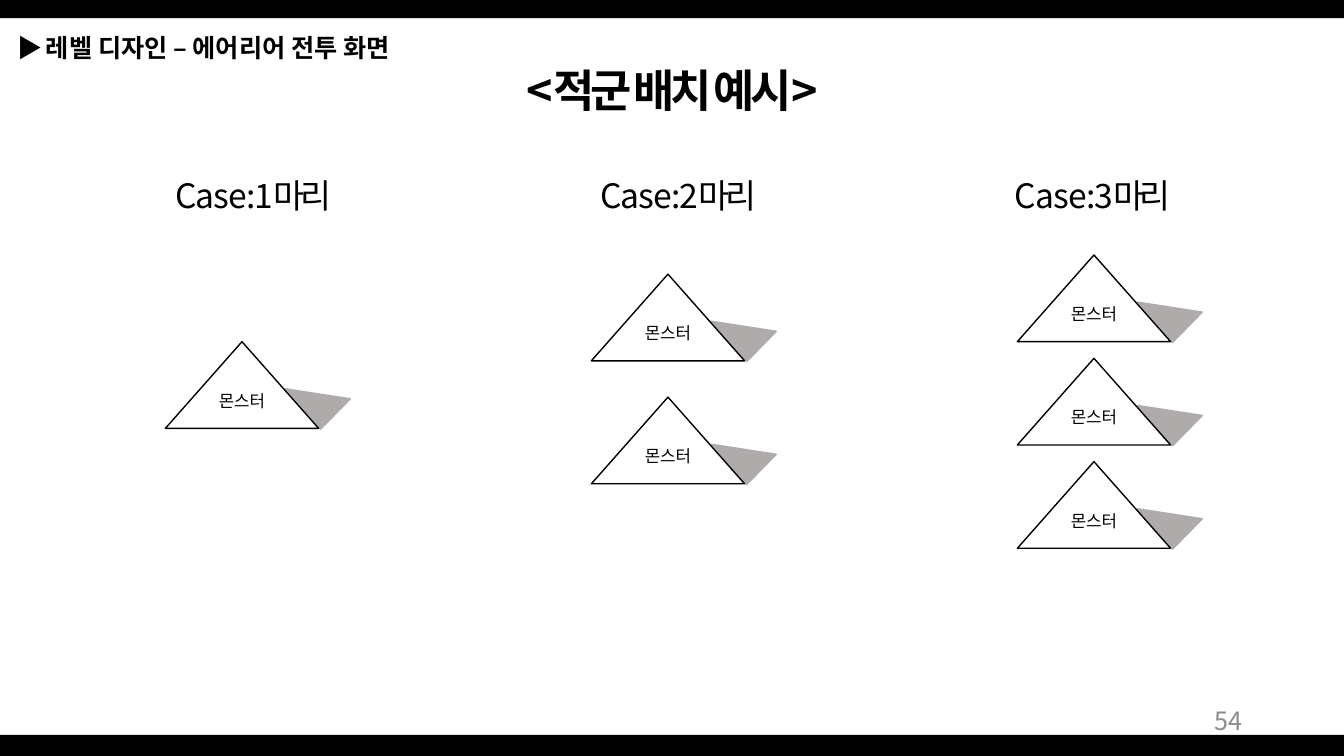
from dataclasses import dataclass
from lxml.etree import SubElement
from pptx import Presentation
from pptx.dml.color import RGBColor
from pptx.enum.shapes import MSO_SHAPE as Preset
from pptx.enum.text import MSO_ANCHOR as Anchor, PP_ALIGN as Align
from pptx.oxml.ns import qn
from pptx.util import Inches, Pt


@dataclass(frozen=True)
class Theme:
    font: str = "Noto Sans CJK KR"
    black: str = "000000"
    white: str = "FFFFFF"
    shadow: str = "AFABAB"
    muted: str = "8C8C8C"
    title: int = 32
    case: int = 24
    heading: int = 18
    monster: int = 12


@dataclass(frozen=True)
class Box:
    left: float
    top: float
    width: float
    height: float

    def inside(self, left, top, width, height):
        return Box(self.left + left, self.top + top, width, height)

    def lengths(self):
        return [Inches(value) for value in (self.left, self.top, self.width, self.height)]


@dataclass(frozen=True)
class Case:
    label: str
    label_left: float
    first_top: float
    pitch: float
    count: int


THEME = Theme()
PAGE = Box(0, 0, 13.33, 7.5)
COLUMN_LEFT, COLUMN_PITCH = 1.64, 4.225
MONSTER_WIDTH, MONSTER_HEIGHT = 1.52, 0.86
CASES = (
    Case("C a s e : 1마리", -0.11, 3.39, 0, 1),
    Case("C a s e : 2마리", -0.12, 2.72, 1.22, 2),
    Case("C a s e : 3마리", -0.23, 2.53, 1.025, 3),
)


def format_run(run, size, color=THEME.black, bold=False, spacing=0):
    run.font.name = THEME.font
    run.font.size = Pt(size)
    run.font.bold = bold
    run.font.color.rgb = RGBColor.from_string(color)
    properties = run._r.get_or_add_rPr()
    properties.set("spc", str(spacing * 100))
    east_asian = SubElement(properties, qn("a:ea"))
    east_asian.set("typeface", THEME.font)


def write_text(shape, text, size, align=Align.CENTER, anchor=Anchor.TOP, **style):
    frame = shape.text_frame
    frame.text = text
    frame.word_wrap = False
    frame.vertical_anchor = anchor
    paragraph = frame.paragraphs[0]
    paragraph.alignment = align
    for run in paragraph.runs:
        format_run(run, size, **style)
    return paragraph


def add_shape(slide, preset, box, fill, line=None):
    shape = slide.shapes.add_shape(preset, *box.lengths())
    shape.shadow.inherit = False
    shape.fill.solid()
    shape.fill.fore_color.rgb = RGBColor.from_string(fill)
    if line:
        shape.line.color.rgb = RGBColor.from_string(line)
        shape.line.width = Pt(1)
    else:
        shape.line.fill.background()
    return shape


def add_text(slide, box, text, size, **style):
    return write_text(slide.shapes.add_textbox(*box.lengths()), text, size, **style)


def add_frame(slide, page):
    top_bar, bottom_bar = 0.18, 0.21
    add_shape(slide, Preset.RECTANGLE, page.inside(0, page.height - bottom_bar, page.width, bottom_bar), THEME.black)
    add_shape(slide, Preset.RECTANGLE, page.inside(0, 0, page.width, top_bar), THEME.black)
    add_text(slide, page.inside(9.42, 6.95, 3, 0.4), "54", THEME.heading,
             align=Align.RIGHT, anchor=Anchor.MIDDLE, color=THEME.muted)


def add_headings(slide, page):
    title = slide.shapes.title
    title.left, title.top, title.width, title.height = page.inside(4.49, 0.57, 4.36, 0.64).lengths()
    write_text(title, "<적군 배치 예시>", THEME.title, bold=True, spacing=-3)
    heading = add_text(slide, page.inside(0.08, 0.27, 4.7, 0.4), "▶ ", THEME.heading,
                       align=Align.LEFT, spacing=-2)
    section = heading.add_run()
    section.text = "레벨 디자인 – 에어리어 전투 화면"
    format_run(section, THEME.heading, bold=True)


def add_monster(slide, box):
    shadow = add_shape(slide, Preset.ISOSCELES_TRIANGLE, box.inside(1.26, 0.32, 0.53, 0.42),
                       THEME.shadow, THEME.shadow)
    shadow.adjustments[0] = 0.937
    shadow.rotation = 49
    monster = add_shape(slide, Preset.ISOSCELES_TRIANGLE, box, THEME.white, THEME.black)
    monster.text_frame.margin_top = 0
    monster.text_frame.margin_bottom = Inches(0.12)
    write_text(monster, "몬스터", THEME.monster, anchor=Anchor.MIDDLE)


def add_case(slide, column, case):
    add_text(slide, column.inside(case.label_left, 1.69, 1.96, 0.5), case.label, THEME.case, spacing=-3)
    for row in range(case.count):
        top = case.first_top + row * case.pitch
        add_monster(slide, column.inside(0, top, MONSTER_WIDTH, MONSTER_HEIGHT))


def main():
    presentation = Presentation()
    presentation.slide_width = Inches(PAGE.width)
    presentation.slide_height = Inches(PAGE.height)
    slide = presentation.slides.add_slide(presentation.slide_layouts[5])
    add_frame(slide, PAGE)
    add_headings(slide, PAGE)
    for index, case in enumerate(CASES):
        column = PAGE.inside(COLUMN_LEFT + index * COLUMN_PITCH, 0, MONSTER_WIDTH, PAGE.height)
        add_case(slide, column, case)
    presentation.save("out.pptx")


if __name__ == "__main__":
    main()
